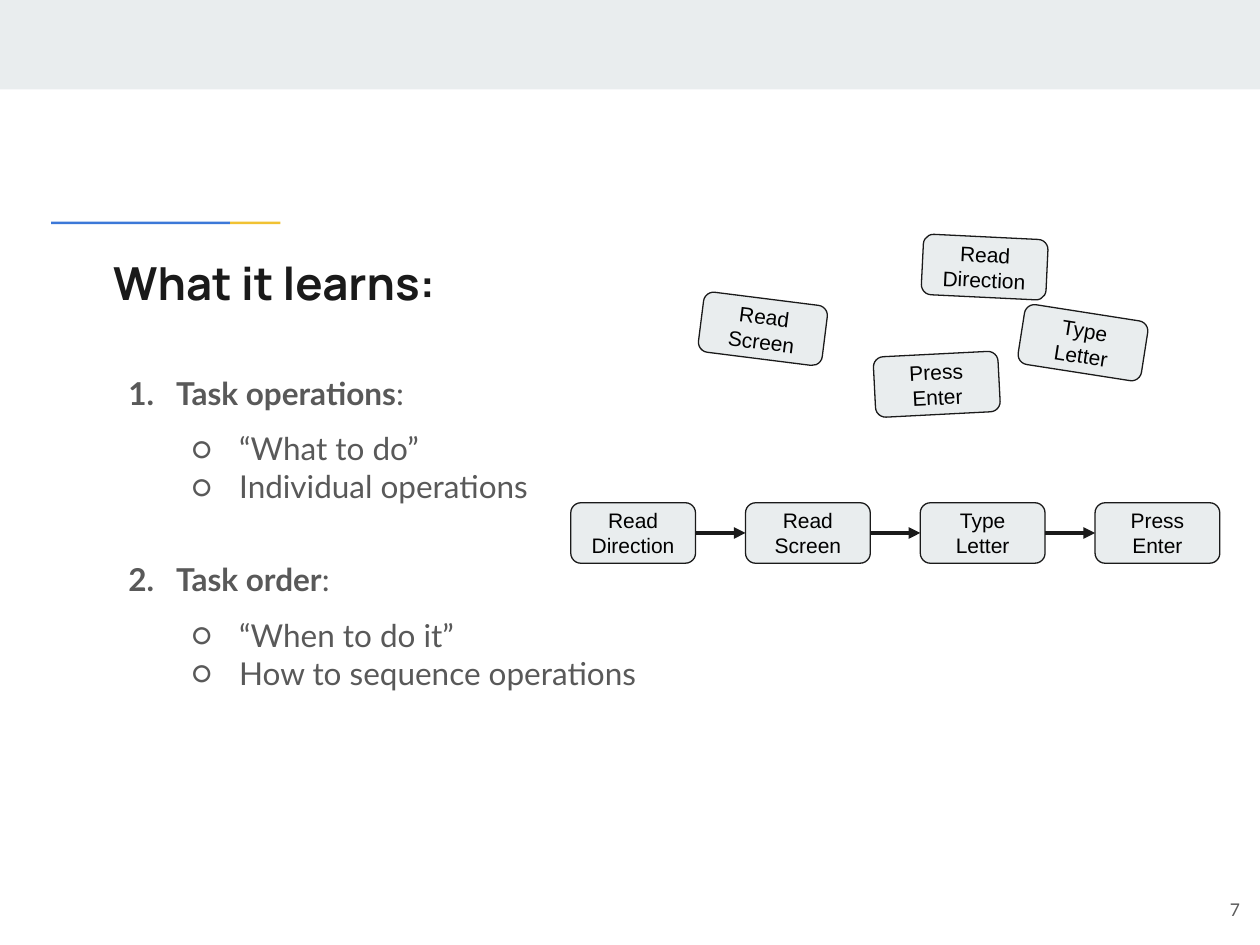
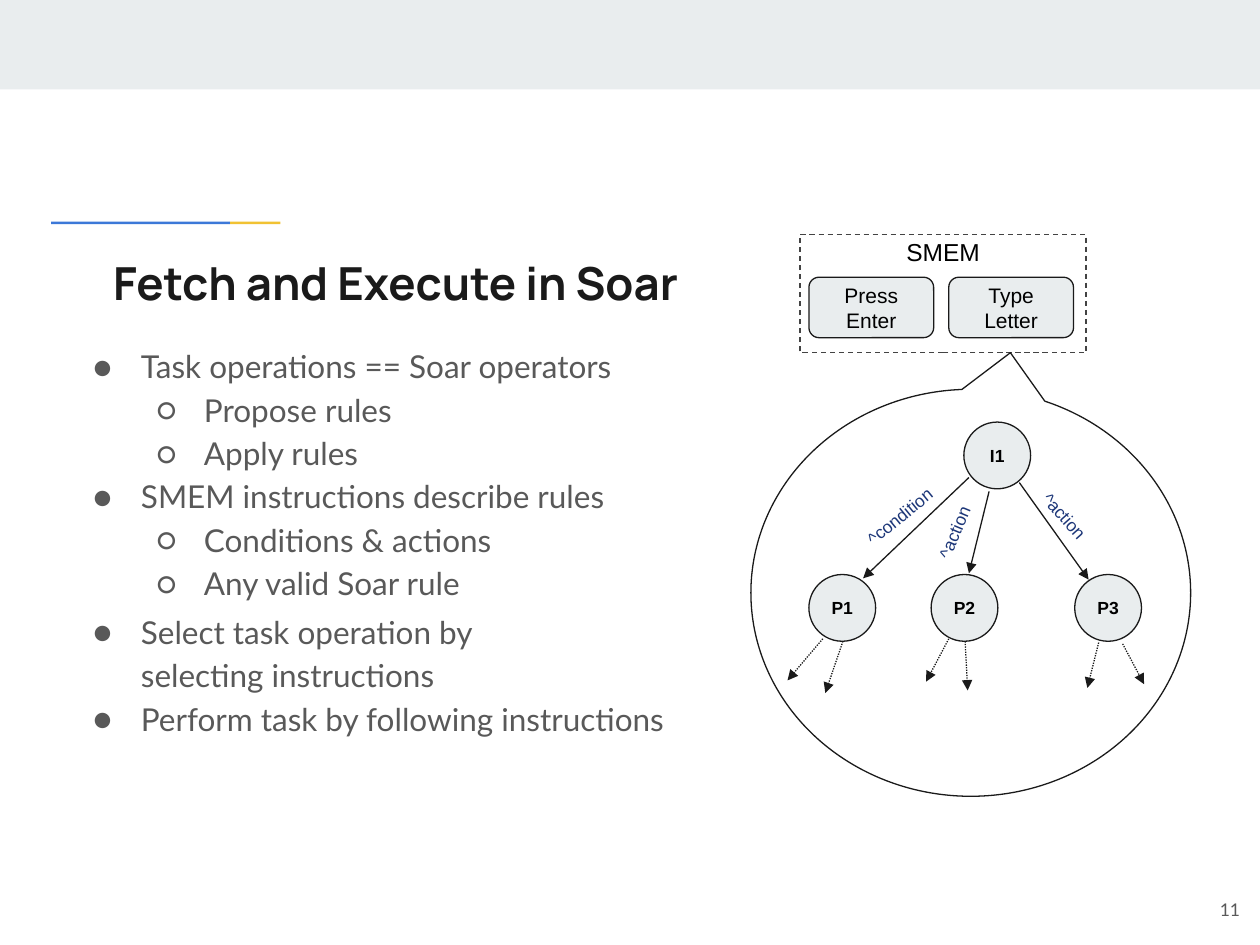
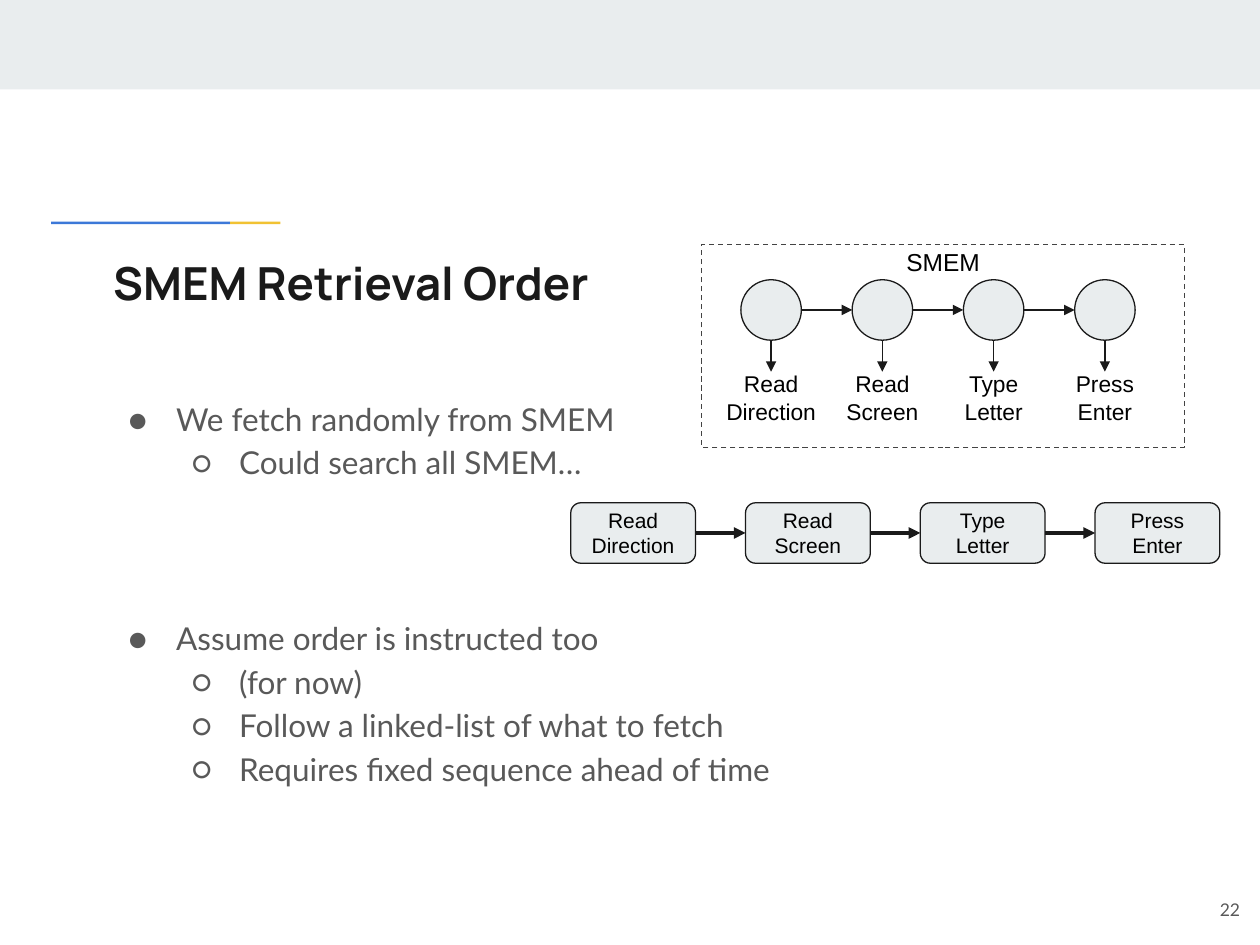
from dataclasses import dataclass
from typing import NamedTuple

from lxml import etree
from pptx import Presentation
from pptx.dml.color import RGBColor
from pptx.enum.dml import MSO_LINE
from pptx.enum.shapes import MSO_CONNECTOR, MSO_SHAPE
from pptx.enum.text import MSO_ANCHOR, PP_ALIGN
from pptx.oxml.ns import qn
from pptx.util import Emu, Inches, Pt

# Enum members
RECTANGLE = MSO_SHAPE.RECTANGLE
ROUNDED = MSO_SHAPE.ROUNDED_RECTANGLE
ELLIPSE = MSO_SHAPE.OVAL
CALLOUT = MSO_SHAPE.OVAL_CALLOUT
STRAIGHT = MSO_CONNECTOR.STRAIGHT
DASH, DOT = MSO_LINE.DASH, MSO_LINE.ROUND_DOT
LEFT, CENTER, RIGHT = PP_ALIGN.LEFT, PP_ALIGN.CENTER, PP_ALIGN.RIGHT
TOP, MIDDLE = MSO_ANCHOR.TOP, MSO_ANCHOR.MIDDLE

# Colours and fonts
PALE = RGBColor(0xE9, 0xED, 0xEE)
WHITE = RGBColor(0xFF, 0xFF, 0xFF)
BLACK = RGBColor(0x00, 0x00, 0x00)
INK = RGBColor(0x1A, 0x1A, 0x1A)
GREY = RGBColor(0x59, 0x59, 0x59)
FRAME_GREY = RGBColor(0x43, 0x43, 0x43)
BLUE = RGBColor(0x3C, 0x78, 0xD8)
YELLOW = RGBColor(0xF1, 0xC2, 0x32)
NAVY = RGBColor(0x1C, 0x36, 0x78)
TITLE_FONT, BODY_FONT, DIAGRAM_FONT = "Manrope", "Lato", "Arial"

# Grid: every position below is in columns and rows
WIDTH, HEIGHT = Inches(10), Inches(7.5)
COLUMNS, ROWS = 100, 75
INSET = Inches(0.1)
BODY_SIZE = 18

OPERATIONS = ("Read Direction", "Read Screen", "Type Letter", "Press Enter")
OPERATION_WIDTH, OPERATION_HEIGHT = 9.9, 4.8
FLOW_LEFT, FLOW_TOP, FLOW_STEP = 45.3, 39.9, 13.87
LIST_LEFT, LIST_TOP, LIST_STEP, LIST_NODE = 58.8, 22.2, 8.83, 4.8
NODE = 5.3


class Point(NamedTuple):
    column: float
    row: float


class Area(NamedTuple):
    column: float
    row: float
    columns: float
    rows: float


class Joint(NamedTuple):
    shape: object
    side: int


@dataclass
class Item:
    text: str
    level: int = 0
    bold: str = ""
    before: float = 0
    numbered: bool = False


@dataclass
class Tilted:
    text: str
    area: Area
    angle: float


def across(columns: float) -> Emu:
    return Emu(round(WIDTH * columns / COLUMNS))


def down(rows: float) -> Emu:
    return Emu(round(HEIGHT * rows / ROWS))


def place(area: Area) -> tuple:
    return across(area.column), down(area.row), across(area.columns), down(area.rows)


# Text
def style_span(span, *, font: str, size: float, color: RGBColor, bold: bool = False) -> None:
    span.font.name, span.font.size, span.font.bold = font, Pt(size), bold
    span.font.color.rgb = color


def prepare_frame(box, anchor=TOP):
    frame = box.text_frame
    frame.word_wrap = True
    frame.vertical_anchor = anchor
    frame.margin_left = frame.margin_right = INSET
    frame.margin_top = frame.margin_bottom = INSET
    return frame


def write_text(box, text: str, *, font: str = DIAGRAM_FONT, size: float = 12,
               color: RGBColor = BLACK, bold: bool = False, align=CENTER, anchor=MIDDLE) -> None:
    para = prepare_frame(box, anchor).paragraphs[0]
    para.alignment = align
    span = para.add_run()
    span.text = text
    style_span(span, font=font, size=size, color=color, bold=bold)


def add_label(page, text: str, area: Area, angle: float = 0, **style):
    box = page.shapes.add_textbox(*place(area))
    box.rotation = angle
    write_text(box, text, **style)
    return box


def add_bullet(para, item: Item) -> None:
    properties = para._p.get_or_add_pPr()
    properties.set("marL", str(Inches(0.5 * (item.level + 1))))
    properties.set("indent", str(-Inches(0.38)))
    tint = etree.SubElement(properties, qn("a:buClr"))
    etree.SubElement(tint, qn("a:srgbClr"), val=str(GREY))
    etree.SubElement(properties, qn("a:buFont"), typeface=BODY_FONT)
    if item.numbered:
        etree.SubElement(properties, qn("a:buAutoNum"), type="arabicPeriod")
    else:
        etree.SubElement(properties, qn("a:buChar"), char="●○"[item.level])


def add_body(page, area: Area, items: list[Item], spacing: float = 1.15) -> None:
    frame = prepare_frame(page.shapes.add_textbox(*place(area)))
    for index, item in enumerate(items):
        para = frame.add_paragraph() if index else frame.paragraphs[0]
        para.level = item.level
        add_bullet(para, item)
        para.line_spacing = spacing
        if item.before:
            para.space_before = Pt(item.before)
        if item.bold:
            span = para.add_run()
            span.text = item.bold
            style_span(span, font=BODY_FONT, size=BODY_SIZE, color=GREY, bold=True)
        for number, line in enumerate(item.text.split("\n")):
            if number:
                para.add_line_break()
            span = para.add_run()
            span.text = line
            style_span(span, font=BODY_FONT, size=BODY_SIZE, color=GREY)


# Shapes and arrows
def add_figure(page, kind, area: Area, *, fill: RGBColor = PALE, line: RGBColor | None = INK,
               dash=None, text: str = "", angle: float = 0, **style):
    shape = page.shapes.add_shape(kind, *place(area))
    shape.shadow.inherit = False
    shape.rotation = angle
    shape.fill.solid()
    shape.fill.fore_color.rgb = fill
    if line is None:
        shape.line.fill.background()
    else:
        shape.line.color.rgb = line
        shape.line.width = Pt(0.75)
    if dash:
        shape.line.dash_style = dash
    if text:
        write_text(shape, text, **style)
    return shape


def add_arrow(page, start: Point, end: Point, *, width: float = 0.75, dash=None,
              begin: Joint | None = None, finish: Joint | None = None) -> None:
    arrow = page.shapes.add_connector(STRAIGHT, across(start.column), down(start.row),
                                      across(end.column), down(end.row))
    if begin:
        arrow.begin_connect(begin.shape, begin.side)
    if finish:
        arrow.end_connect(finish.shape, finish.side)
    arrow.line.color.rgb = INK
    arrow.line.width = Pt(width)
    if dash:
        arrow.line.dash_style = dash
    etree.SubElement(arrow.line._get_or_add_ln(), qn("a:tailEnd"), type="triangle")
    etree.SubElement(arrow._element.spPr, qn("a:effectLst"))


def add_operation(page, text: str, column: float, row: float, angle: float = 0):
    area = Area(column, row, OPERATION_WIDTH, OPERATION_HEIGHT)
    return add_figure(page, ROUNDED, area, text=text, angle=angle)


def add_operation_flow(page) -> None:
    boxes = [add_operation(page, text, FLOW_LEFT + index * FLOW_STEP, FLOW_TOP)
             for index, text in enumerate(OPERATIONS)]
    middle = FLOW_TOP + OPERATION_HEIGHT / 2
    for index, (source, target) in enumerate(zip(boxes, boxes[1:])):
        left = FLOW_LEFT + index * FLOW_STEP + OPERATION_WIDTH
        right = FLOW_LEFT + (index + 1) * FLOW_STEP
        add_arrow(page, Point(left, middle), Point(right, middle), width=2.25,
                  begin=Joint(source, 3), finish=Joint(target, 1))


def add_memory_frame(page, area: Area) -> None:
    add_figure(page, RECTANGLE, area, fill=WHITE, line=FRAME_GREY, dash=DASH)
    add_label(page, "SMEM", Area(70.1, area.row - 0.8, 9.5, 3.5), size=14, anchor=TOP)


# Shared page: band, accent rule, title and number
def add_page(deck, title: str, number: int, title_columns: float = 84.1):
    page = deck.slides.add_slide(deck.slide_layouts[6])
    page.background.fill.solid()
    page.background.fill.fore_color.rgb = WHITE
    for area, fill in ((Area(0, 0, COLUMNS, 7.1), PALE),
                       (Area(18.25, 17.6, 4, 0.2), YELLOW),
                       (Area(4.05, 17.6, 14.2, 0.2), BLUE)):
        add_figure(page, RECTANGLE, area, fill=fill, line=None)
    add_label(page, title, Area(8, 19.2, title_columns, 7.8), font=TITLE_FONT, size=26,
              color=INK, bold=True, align=LEFT, anchor=TOP)
    add_label(page, str(number), Area(93.4, 69.3, 6, 5.7), font=BODY_FONT, size=10,
              color=GREY, align=RIGHT)
    return page


def build_learning_page(deck) -> None:
    page = add_page(deck, "What it learns:", 7)
    add_body(page, Area(8, 28.7, 44.5, 29.3), [
        Item(":", bold="Task operations", numbered=True),
        Item("“What to do”", 1, before=10),
        Item("Individual operations", 1),
        Item(":", bold="Task order", numbered=True, before=31.6),
        Item("“When to do it”", 1, before=10),
        Item("How to sequence operations", 1),
    ], spacing=1.0)
    scattered = ((73.2, 18.8, 2.8), (55.6, 23.7, 7.2), (81, 24.8, 8.9), (69.4, 28.1, 357.1))
    for text, (column, row, angle) in zip(OPERATIONS, scattered):
        add_operation(page, text, column, row, angle)
    add_operation_flow(page)


def build_fetch_page(deck) -> None:
    page = add_page(deck, "Fetch and Execute in Soar", 11, title_columns=60)
    add_body(page, Area(5.2, 26.1, 51.2, 17.9), [
        Item("Task operations == Soar operators"),
        Item("Propose rules", 1),
        Item("Apply rules", 1),
        Item("SMEM instructions describe rules"),
        Item("Conditions & actions", 1),
        Item("Any valid Soar rule", 1),
    ])
    add_body(page, Area(5.2, 47.2, 52.8, 23.4), [
        Item("Select task operation by\nselecting instructions"),
        Item("Perform task by following instructions"),
    ])

    # Memory and the instruction graph inside it
    add_memory_frame(page, Area(63.5, 18.6, 22.7, 9.4))
    add_operation(page, "Type Letter", 75.3, 22)
    add_operation(page, "Press Enter", 64.2, 22)
    callout = add_figure(page, CALLOUT, Area(59.6, 30.9, 34.9, 32.3), fill=WHITE)
    callout.adjustments[0], callout.adjustments[1] = 0.09, -0.59
    for text, column, row in (("I1", 76.5, 33.5), ("P1", 64.2, 45.6),
                              ("P2", 73.9, 45.6), ("P3", 85.3, 45.6)):
        add_figure(page, ELLIPSE, Area(column, row, NODE, NODE), text=text, size=10, bold=True)

    solid = ((78.5, 39, 76.9, 45.5), (76.9, 37.9, 68.5, 45.9), (80.9, 38.3, 86.4, 46))
    dotted = ((65.3, 50.7, 62.5, 54), (66.9, 50.9, 65.5, 55), (76.6, 50.9, 76.8, 54.8),
              (75.3, 50.7, 73.5, 54.1), (89.1, 51.1, 90.8, 54.3), (87.2, 51, 86.3, 54.6))
    for arrows, dash in ((solid, None), (dotted, DOT)):
        for ends in arrows:
            add_arrow(page, Point(*ends[:2]), Point(*ends[2:]), dash=dash)

    for label in (Tilted("^condition", Area(67.1, 39.3, 8.5, 3.2), 320.8),
                  Tilted("^action", Area(71.4, 40.6, 8.5, 3.2), 292.6),
                  Tilted("^action", Area(80.3, 39.3, 8.5, 3.2), 48.3)):
        add_label(page, label.text, label.area, label.angle, size=10, color=NAVY, anchor=TOP)


def build_retrieval_page(deck) -> None:
    page = add_page(deck, "SMEM Retrieval Order", 22)
    add_body(page, Area(8, 30.3, 68.6, 33), [
        Item("We fetch randomly from SMEM"),
        Item("Could search all SMEM…", 1),
        Item("Assume order is instructed too", before=75.7),
        Item("(for now)", 1),
        Item("Follow a linked-list of what to fetch", 1),
        Item("Requires fixed sequence ahead of time", 1),
    ])
    add_operation_flow(page)

    # Linked list in memory
    add_memory_frame(page, Area(55.7, 19.4, 38.3, 16.1))
    middle, bottom, label_top = LIST_TOP + LIST_NODE / 2, LIST_TOP + LIST_NODE, 29.5
    for index, text in enumerate(OPERATIONS):
        left = LIST_LEFT + index * LIST_STEP
        center = left + LIST_NODE / 2
        add_figure(page, ELLIPSE, Area(left, LIST_TOP, LIST_NODE, LIST_NODE))
        label = add_label(page, text, Area(center - 4.85, label_top, 9.7, 4.1), size=13)
        add_arrow(page, Point(center, bottom), Point(center, label_top), finish=Joint(label, 0))
        if index:
            add_arrow(page, Point(left - LIST_STEP + LIST_NODE, middle), Point(left, middle),
                      width=1.5)


def main() -> None:
    deck = Presentation()
    deck.slide_width, deck.slide_height = WIDTH, HEIGHT
    build_learning_page(deck)
    build_fetch_page(deck)
    build_retrieval_page(deck)
    deck.save("out.pptx")


if __name__ == "__main__":
    main()
